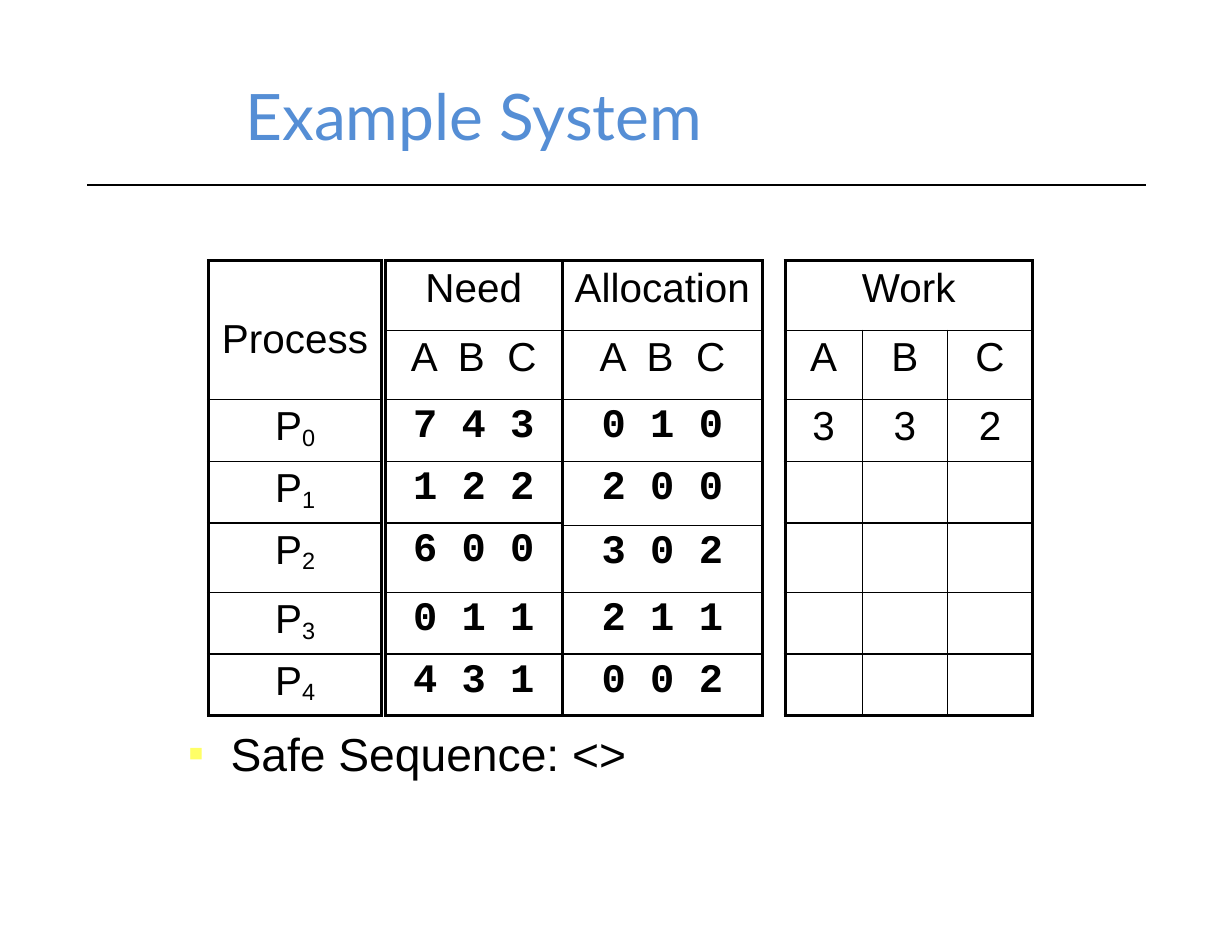
from lxml.etree import SubElement
from pptx import Presentation
from pptx.dml.color import RGBColor
from pptx.enum.shapes import MSO_CONNECTOR
from pptx.enum.text import MSO_ANCHOR, PP_ALIGN
from pptx.oxml.ns import qn
from pptx.util import Inches, Pt

COLORS = {"title": "558ED5", "ink": "000000", "bullet": "FFFF66"}
SANS, MONO, HEAD = "Arial", "Courier New", "Lato"
WIDE, HIGH = 11, 8.5
TOP, TALL, ROW = 2.33, 0.62, 0.55
THICK, THIN = 2.25, 1
GRID = [TALL, TALL, ROW, ROW, TALL, ROW, ROW]

# Content: a pair is a letter with its subscript
TITLE = "Example System"
NOTE = "Safe Sequence: <>"
TABLES = [
    {"left": 1.86, "cols": [1.55], "rows": [2 * TALL] + GRID[2:],
     "cells": [["Process"]] + [[("P", str(n))] for n in range(5)]},
    {"left": 7.01, "cols": [0.69, 0.76, 0.76], "rows": GRID,
     "cells": [["Work"], ["A", "B", "C"], ["3", "3", "2"], [], [], [], []]},
    {"left": 5.02, "cols": [1.79], "rows": GRID[:3] + [0.57, 0.6] + GRID[5:],
     "cells": [["Allocation"], ["A B C"], ["0 1 0"], ["2 0 0"],
               ["3 0 2"], ["2 1 1"], ["0 0 2"]]},
    {"left": 3.44, "cols": [1.58], "rows": GRID,
     "cells": [["Need"], ["A B C"], ["7 4 3"], ["1 2 2"],
               ["6 0 0"], ["0 1 1"], ["4 3 1"]]},
]


def ink(name):
    return RGBColor.from_string(COLORS[name])


def style(para, face, size, color="ink", bold=False):
    font = para.font
    font.name, font.size, font.bold = face, Pt(size), bold
    font.color.rgb = ink(color)


def place(shape, left, top, width, height):
    shape.left, shape.top = Inches(left), Inches(top)
    shape.width, shape.height = Inches(width), Inches(height)


def edge(cell, sides):
    props = cell._tc.get_or_add_tcPr()
    for spot, (side, outer) in enumerate(sides.items()):
        line = SubElement(props, qn("a:ln" + side),
                          w=str(Pt(THICK if outer else THIN)))
        fill = SubElement(line, qn("a:solidFill"))
        SubElement(fill, qn("a:srgbClr"), val=COLORS["ink"])
        props.insert(spot, line)


def write(cell, text):
    para = cell.text_frame.paragraphs[0]
    para.alignment = PP_ALIGN.CENTER
    triple = isinstance(text, str) and len(text.split()) == 3
    digits = triple and text[0].isdigit()
    style(para, MONO if digits else SANS, 26, bold=digits)
    for i, part in enumerate([text] if isinstance(text, str) else text):
        run = para.add_run()
        run.text = part
        props = run._r.get_or_add_rPr()
        if i:
            props.set("baseline", "-14000")
        if triple and not digits:
            props.set("spc", "360")  # spread the column letters


def add_grid(slide, left, cols, rows, cells):
    last_row, last_col = len(rows) - 1, len(cols) - 1
    table = slide.shapes.add_table(
        len(rows), len(cols), Inches(left), Inches(TOP),
        Inches(sum(cols)), Inches(sum(rows))).table
    table.first_row = table.horz_banding = False
    for col, width in zip(table.columns, cols):
        col.width = Inches(width)
    for row, height in zip(table.rows, rows):
        row.height = Inches(height)
    if last_col:
        table.cell(0, 0).merge(table.cell(0, last_col))
    for r, texts in enumerate(cells):
        for c in range(len(cols)):
            cell = table.cell(r, c)
            if cell.is_spanned:
                continue
            cell.fill.background()
            cell.margin_left = cell.margin_right = Inches(0.08)
            # A double-height heading sits low in its cell
            cell.margin_top = Inches(0.5 if rows[r] > 1 else 0.04)
            cell.margin_bottom = Inches(0.04)
            end = c + (cell.span_width if cell.is_merge_origin else 1) - 1
            edge(cell, {"L": c == 0, "R": end == last_col,
                        "T": r == 0, "B": r == last_row})
            if c < len(texts):
                write(cell, texts[c])


def main():
    deck = Presentation()
    deck.slide_width, deck.slide_height = Inches(WIDE), Inches(HIGH)
    slide = deck.slides.add_slide(deck.slide_layouts[5])

    # Title
    title = slide.shapes.title
    place(title, 0.52, 0.67, 7.42, 0.71)
    title.text_frame.text = TITLE
    title.text_frame.vertical_anchor = MSO_ANCHOR.MIDDLE
    para = title.text_frame.paragraphs[0]
    para.alignment = PP_ALIGN.CENTER
    style(para, HEAD, 41.2, "title")

    # Rule under the title
    rule = slide.shapes.add_connector(
        MSO_CONNECTOR.STRAIGHT, Inches(0.78), Inches(1.65),
        Inches(10.23), Inches(1.65))
    rule.line.color.rgb = ink("ink")
    rule.line.width = Pt(1.25)
    SubElement(rule._element.spPr, qn("a:effectLst"))

    # Bulleted note
    note = slide.shapes.add_textbox(0, 0, 0, 0)
    place(note, 1.58, 6.52, 7.91, 0.69)
    note.text_frame.word_wrap = True
    para = note.text_frame.paragraphs[0]
    para.text = NOTE
    para.line_spacing = 0.8
    props = para._p.get_or_add_pPr()
    props.set("marL", str(Inches(0.38)))
    props.set("indent", str(-Inches(0.38)))
    tint = SubElement(props, qn("a:buClr"))
    SubElement(tint, qn("a:srgbClr"), val=COLORS["bullet"])
    SubElement(props, qn("a:buFont"), typeface=SANS)
    SubElement(props, qn("a:buChar"), char="▪")
    style(para, SANS, 29.7)

    # Tables
    for item in TABLES:
        add_grid(slide, **item)

    deck.save("out.pptx")


if __name__ == "__main__":
    main()
